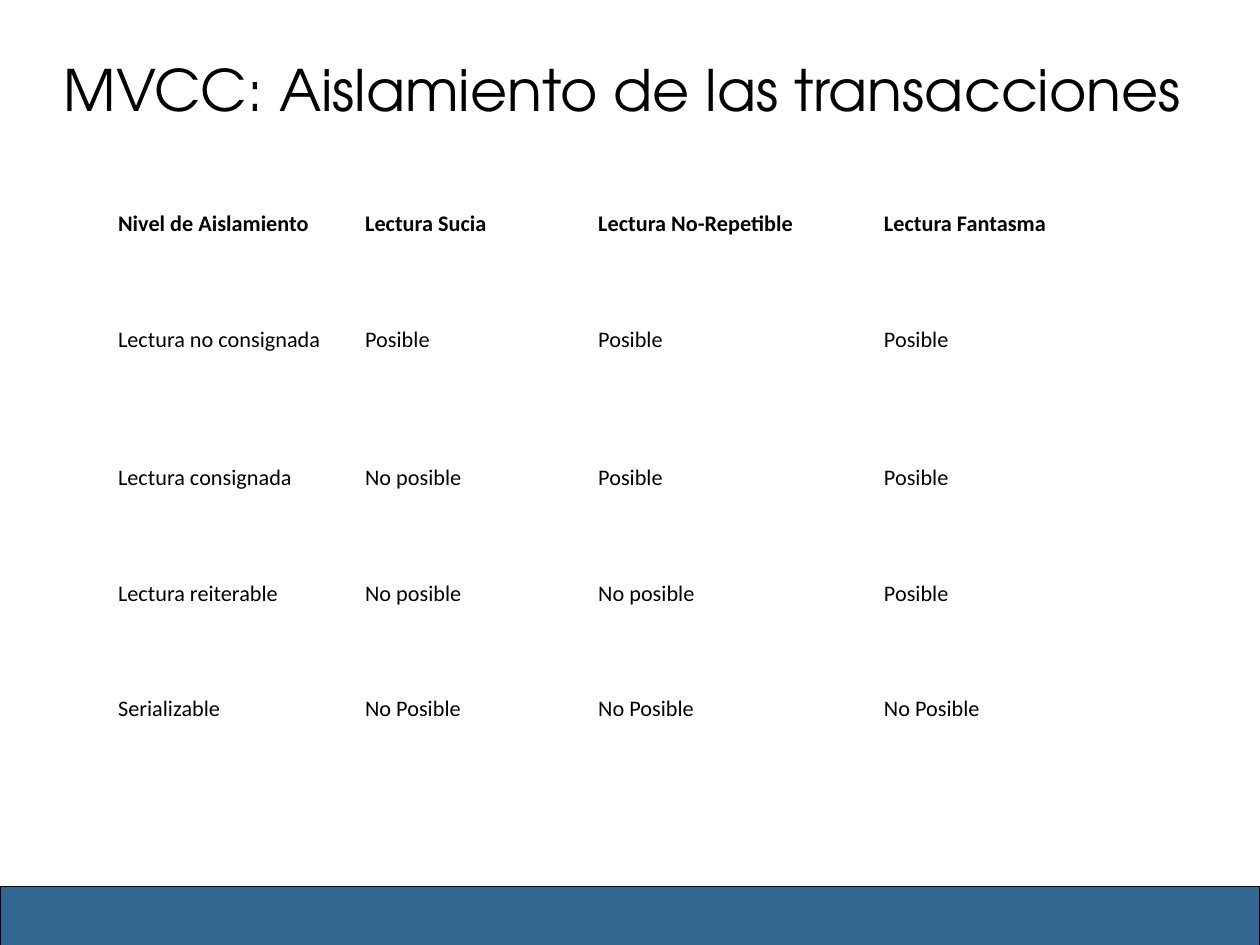
import dataclasses

import pptx
import pptx.dml.color
import pptx.enum.shapes
import pptx.enum.text
import pptx.util
from pptx.util import Cm


@dataclasses.dataclass(frozen=True)
class Theme:
    """Colours, fonts and type sizes of the slide."""
    ink: str = "000000"
    band: str = "336791"
    paper: str = "FFFFFF"
    title_font: str = "TeX Gyre Adventor"
    table_font: str = "Calibri"
    title_size: int = 36
    table_size: int = 14


THEME = Theme()
ISOLATION_LEVELS = [
    ["Nivel de Aislamiento", "Lectura Sucia", "Lectura No-Repetible", "Lectura Fantasma"],
    ["Lectura no consignada", "Posible", "Posible", "Posible"],
    ["Lectura consignada", "No posible", "Posible", "Posible"],
    ["Lectura reiterable", "No posible", "No posible", "Posible"],
    ["Serializable", "No Posible", "No Posible", "No Posible"],
]
COLUMN_WIDTHS = [Cm(5.49), Cm(5.18), Cm(6.35), Cm(5.21)]
ROW_HEIGHTS = [Cm(2.57), Cm(3.07), Cm(2.57), Cm(2.57), Cm(2.57)]


def colour(value):
    """Turn a hex string into a colour."""
    return pptx.dml.color.RGBColor.from_string(value)


def add_span(para, text, font, size, bold=False):
    """Add one formatted run to a paragraph."""
    span = para.add_run()
    span.text = text
    span.font.name = font
    span.font.size = pptx.util.Pt(size)
    span.font.bold = bold
    span.font.color.rgb = colour(THEME.ink)


def add_footer_band(page, left, top, width, height):
    """Draw the coloured band along the bottom."""
    band = page.shapes.add_shape(
        pptx.enum.shapes.MSO_SHAPE.RECTANGLE, left, top, width, height)
    band.shadow.inherit = False
    band.fill.solid()
    band.fill.fore_color.rgb = colour(THEME.band)
    band.line.color.rgb = colour(THEME.ink)
    band.line.width = pptx.util.Pt(0)


def add_title(page, text, left, top, width, height):
    """Place the centred title in its box."""
    box = page.shapes.add_textbox(left, top, width, height)
    frame = box.text_frame
    frame.word_wrap = True
    frame.vertical_anchor = pptx.enum.text.MSO_ANCHOR.MIDDLE
    frame.margin_left = frame.margin_right = 0
    frame.margin_top = frame.margin_bottom = 0
    para = frame.paragraphs[0]
    para.alignment = pptx.enum.text.PP_ALIGN.CENTER
    add_span(para, text, THEME.title_font, THEME.title_size)


def add_isolation_table(page, left, top):
    """Place the table of isolation levels at the given corner."""
    table = page.shapes.add_table(
        len(ROW_HEIGHTS), len(COLUMN_WIDTHS), left, top,
        sum(COLUMN_WIDTHS), sum(ROW_HEIGHTS)).table
    table.first_row = False
    table.horz_banding = False
    for column, width in zip(table.columns, COLUMN_WIDTHS):
        column.width = width
    for index, (row, height) in enumerate(zip(table.rows, ROW_HEIGHTS)):
        row.height = height
        for cell, text in zip(row.cells, ISOLATION_LEVELS[index]):
            cell.fill.background()
            add_span(cell.text_frame.paragraphs[0], text,
                     THEME.table_font, THEME.table_size, bold=index == 0)


def main():
    """Build and save the deck."""
    deck = pptx.Presentation()
    deck.slide_width, deck.slide_height = Cm(28), Cm(21)
    page = deck.slides.add_slide(deck.slide_layouts[6])
    page.background.fill.solid()
    page.background.fill.fore_color.rgb = colour(THEME.paper)
    add_footer_band(page, 0, Cm(19.7), deck.slide_width, Cm(1.4))
    add_title(page, "MVCC: Aislamiento de las transacciones",
              Cm(0.5), Cm(0.66), Cm(26.67), Cm(2.64))
    add_isolation_table(page, Cm(2.37), Cm(4.55))
    deck.save("out.pptx")


if __name__ == "__main__":
    main()
